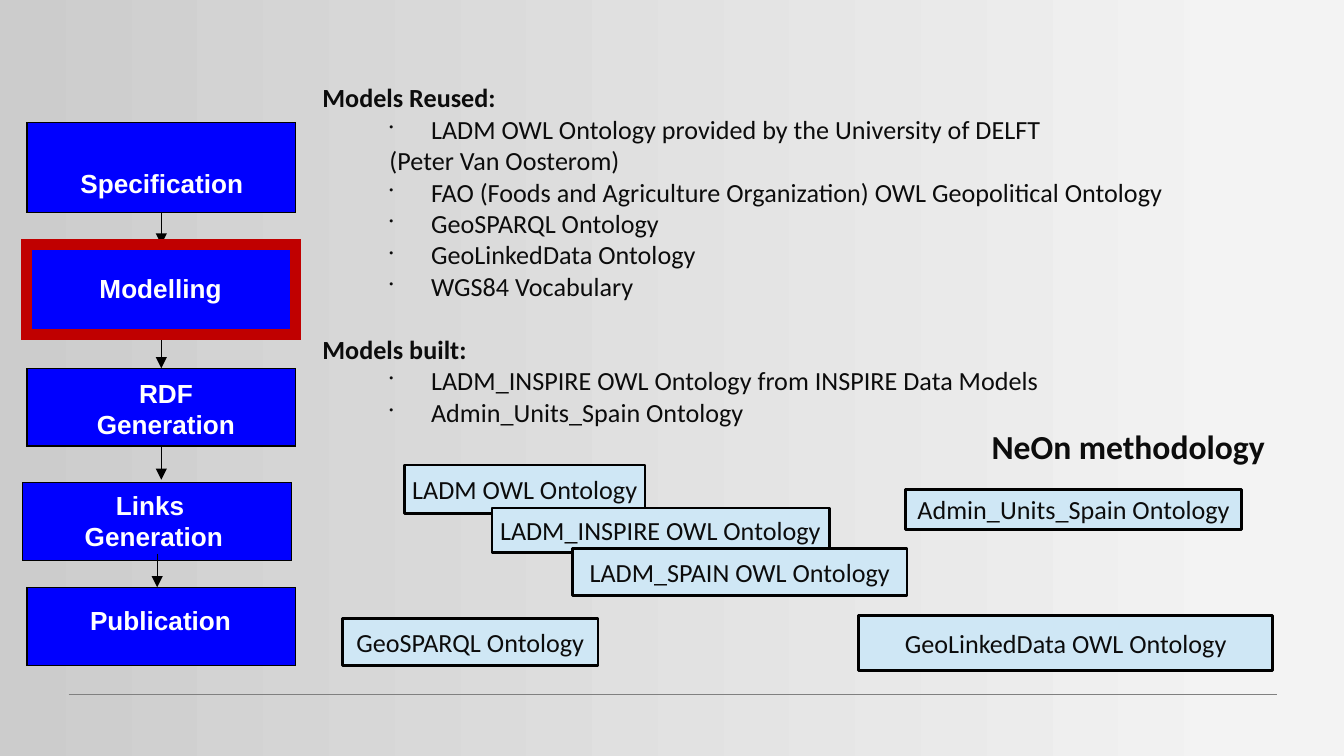
from lxml import etree
from pptx import Presentation
from pptx.dml.color import RGBColor
from pptx.enum.shapes import MSO_CONNECTOR as CONN, MSO_SHAPE as SHAPE
from pptx.enum.text import MSO_ANCHOR as ANCHOR, PP_ALIGN as ALIGN
from pptx.oxml.ns import qn
from pptx.util import Inches, Pt


def rgb(color):
    return RGBColor.from_string(color)


def write(tf, lines, font, size, color, bold, align):
    """Fill a text frame with equally formatted paragraphs."""
    tf.text = "\n".join(lines)
    for p in tf.paragraphs:
        p.alignment = align
        for r in p.runs:
            r.font.name, r.font.size, r.font.bold = font, Pt(size), bold
            r.font.color.rgb = rgb(color)


# Widescreen slide, 16:9
prs = Presentation()
prs.slide_width, prs.slide_height = Inches(10), Inches(10 * 9 / 16)
s = prs.slides.add_slide(prs.slide_layouts[6])

# Background gradient, light on the right
bg = s.background.fill
bg.gradient()
bg.gradient_angle = 180
for stop, (position, color) in zip(bg.gradient_stops, [(0.07, "F3F3F3"), (1, "CCCCCC")]):
    stop.position = position
    stop.color.rgb = rgb(color)

# Footer rule and arrows
lines = []
for x1, y1, x2, y2, color in [
    (0.51, 5.17, 9.5, 5.17, "808080"),
    (1.2, 1.57, 1.2, 1.82, "000000"),
    (1.2, 2.49, 1.2, 2.74, "000000"),
    (1.2, 3.32, 1.2, 3.57, "000000"),
    (1.17, 4.12, 1.17, 4.37, "000000"),
]:
    c = s.shapes.add_connector(CONN.STRAIGHT, Inches(x1), Inches(y1), Inches(x2), Inches(y2))
    c.line.color.rgb = rgb(color)
    c.line.width = Pt(0.75)
    if x1 == x2:
        etree.SubElement(c.line._get_or_add_ln(), qn("a:tailEnd"), type="triangle")
    etree.SubElement(c._element.spPr, qn("a:effectLst"))
    lines.append(c)
rule, to_modelling, to_rdf, to_links, to_publication = lines

# Process steps: box left, top, height, outline, then label left, top, width, height
steps = [
    (0.2, 0.91, 0.67, "000000", 0.75, ["Specification"], 0.22, 1.2, 1.97, 0.33),
    (0.2, 1.82, 0.67, "C00000", 6, ["Modelling"], 0.64, 1.98, 1.11, 0.33),
    (0.2, 2.74, 0.58, "000000", 0.75, ["RDF", "Generation"], 0.62, 2.76, 1.23, 0.56),
    (0.17, 3.59, 0.58, "000000", 0.75, ["Links ", "Generation"], 0.53, 3.59, 1.23, 0.56),
    (0.2, 4.37, 0.58, "000000", 0.75, ["Publication"], 0.57, 4.45, 1.25, 0.33),
]
boxes = []
for left, top, height, outline, weight, label, *place in steps:
    sp = s.shapes.add_shape(SHAPE.RECTANGLE, Inches(left), Inches(top), Inches(2), Inches(height))
    sp.shadow.inherit = False
    sp.fill.solid()
    sp.fill.fore_color.rgb = rgb("0000FF")
    sp.line.color.rgb = rgb(outline)
    sp.line.width = Pt(weight)
    etree.SubElement(sp.line._get_or_add_ln(), qn("a:miter"), lim="800000")
    boxes.append(sp)
    tb = s.shapes.add_textbox(*[Inches(v) for v in place])
    tb.text_frame.word_wrap = False
    write(tb.text_frame, label, "Arial", 14, "FFFFFF", True, ALIGN.CENTER)

# Join the arrows that meet the middle of a side
specification, modelling, rdf = boxes[:3]
to_modelling.begin_connect(specification, 2)
to_modelling.end_connect(modelling, 0)
to_rdf.begin_connect(modelling, 2)
to_rdf.end_connect(rdf, 0)
to_links.begin_connect(rdf, 2)

# Bring the last arrow in front of the Links box
s.shapes._spTree.append(to_publication._element)

# Lists of models
headings = ["Models Reused:", "Models built:"]
continuation = "(Peter Van Oosterom)"
models = [
    headings[0],
    "LADM OWL Ontology provided by the University of DELFT",
    continuation,
    "FAO (Foods and Agriculture Organization) OWL Geopolitical Ontology",
    "GeoSPARQL Ontology",
    "GeoLinkedData Ontology",
    "WGS84 Vocabulary",
    headings[1],
    "LADM_INSPIRE OWL Ontology from INSPIRE Data Models",
    "Admin_Units_Spain Ontology",
]
tb = s.shapes.add_textbox(Inches(2.3), Inches(0.56), Inches(7.6), Inches(2.76))
tf = tb.text_frame
tf.word_wrap = True
write(tf, models, "Calibri", 14, "0C0C0C", False, ALIGN.LEFT)
for p in tf.paragraphs:
    if p.text in headings:
        p.runs[0].font.bold = True
        if p.text == headings[1]:
            p.space_before = Pt(17)
        continue
    p.level = 1
    bulleted = p.text != continuation
    pPr = p._p.get_or_add_pPr()
    pPr.set("marL", str(Inches(0.81 if bulleted else 0.5)))
    pPr.set("indent", str(Inches(-0.31 if bulleted else 0)))
    if bulleted:
        etree.SubElement(pPr, qn("a:buSzPct"), val="45000")
        etree.SubElement(pPr, qn("a:buChar"), char="•")

# Ontology boxes
for left, top, width, height, name in [
    (3.01, 3.46, 1.79, 0.36, "LADM OWL Ontology"),
    (3.66, 3.78, 2.51, 0.33, "LADM_INSPIRE OWL Ontology"),
    (4.26, 4.08, 2.49, 0.35, "LADM_SPAIN OWL Ontology"),
    (2.55, 4.6, 1.9, 0.35, "GeoSPARQL Ontology"),
    (6.74, 3.64, 2.5, 0.3, "Admin_Units_Spain Ontology"),
    (6.39, 4.58, 3.08, 0.41, "GeoLinkedData OWL Ontology"),
]:
    sp = s.shapes.add_shape(SHAPE.RECTANGLE, Inches(left), Inches(top), Inches(width), Inches(height))
    sp.shadow.inherit = False
    sp.fill.solid()
    sp.fill.fore_color.rgb = rgb("CFE7F5")
    sp.line.color.rgb = rgb("000000")
    sp.line.width = Pt(1.45)
    sp.text_frame.word_wrap = False
    sp.text_frame.vertical_anchor = ANCHOR.MIDDLE
    write(sp.text_frame, [name], "Calibri", 14, "0C0C0C", False, ALIGN.CENTER)

# Methodology caption
tb = s.shapes.add_textbox(Inches(7.28), Inches(3.12), Inches(2.54), Inches(0.4))
tb.text_frame.word_wrap = True
write(tb.text_frame, ["NeOn methodology"], "Calibri", 18, "0C0C0C", True, ALIGN.LEFT)

prs.save("out.pptx")
